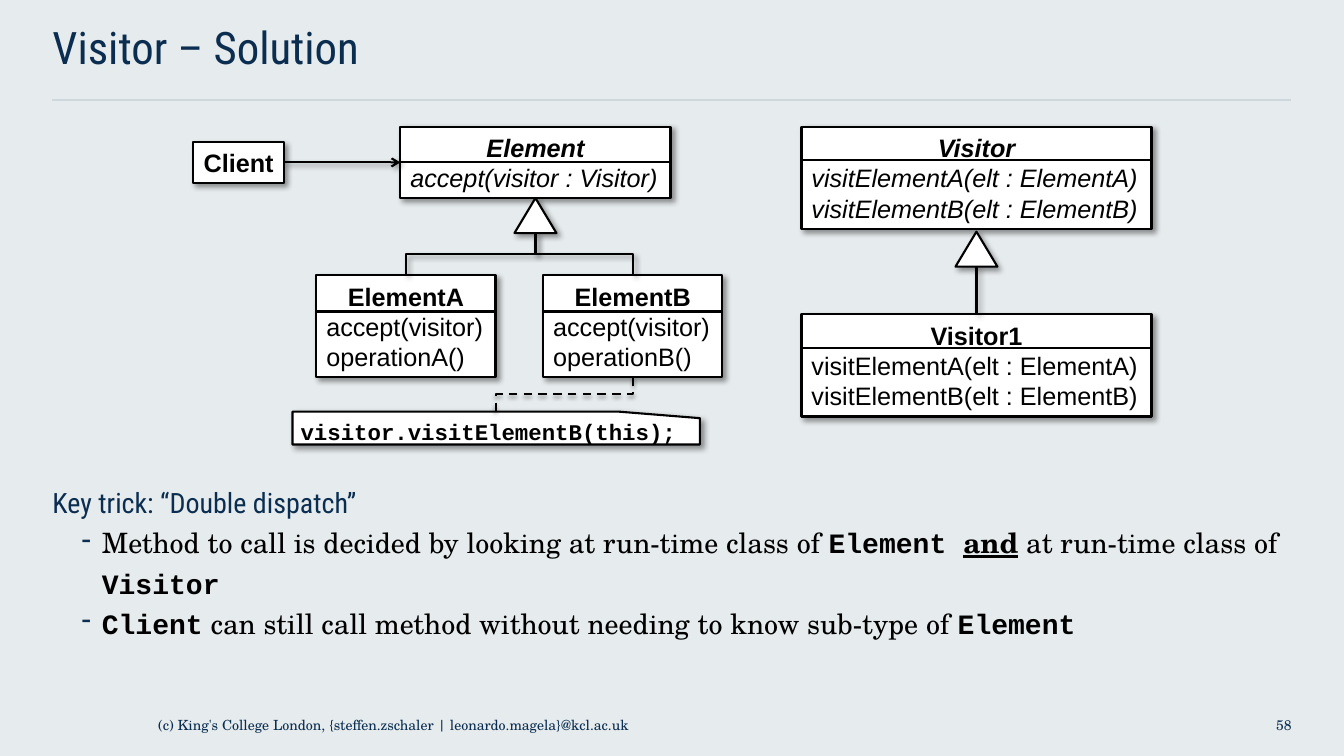
from lxml.etree import SubElement
from pptx import Presentation
from pptx.dml.color import RGBColor
from pptx.enum.dml import MSO_LINE
from pptx.enum.shapes import MSO_CONNECTOR, MSO_SHAPE
from pptx.enum.text import MSO_ANCHOR, PP_ALIGN
from pptx.oxml.ns import qn
from pptx.util import Pt

BACKGROUND = RGBColor(0xE6, 0xEB, 0xED)
RULE = RGBColor(0xCD, 0xD7, 0xDC)
NAVY = RGBColor(0x0A, 0x2D, 0x50)
BLACK = RGBColor(0, 0, 0)
WHITE = RGBColor(255, 255, 255)
HEADING, SERIF, SANS, CODE = "Roboto Condensed", "TeX Gyre Schola", "Arial", "Courier New"

TITLE = "Visitor – Solution"
KEY_TRICK = "Key trick: “Double dispatch”"
# Each bullet is a list of (text, style) runs.
BULLETS = [
    [("Method to call is decided by looking at run-time class of ", "plain"),
     ("Element ", "code"), ("and", "stress"),
     (" at run-time class of ", "plain"), ("Visitor", "code")],
    [("Client", "code"),
     (" can still call method without needing to know sub-type of ", "plain"),
     ("Element", "code")],
]
FOOTER = "(c) King's College London, {steffen.zschaler | leonardo.magela}@kcl.ac.uk"
PAGE_NUMBER = "58"
NOTE = "visitor.visitElementB(this);"
VISITS = ["visitElementA(elt : ElementA)", "visitElementB(elt : ElementB)"]
# name: (left, top, width, height, divider offset, abstract, methods)
CLASSES = {
    "Element": (286, 90.5, 193, 51, 25.5, True, ["accept(visitor : Visitor)"]),
    "Client": (138, 101.5, 65, 29, None, False, []),
    "ElementA": (226, 196.5, 128, 73, 26, False, ["accept(visitor)", "operationA()"]),
    "ElementB": (388, 196.5, 128, 73, 26, False, ["accept(visitor)", "operationB()"]),
    "Visitor": (572.5, 90.5, 250, 73, 24, True, VISITS),
    "Visitor1": (572.5, 224.5, 250, 73, 24, False, VISITS),
}
NOTE_BOX = (209, 294, 291, 23.5)
TRIANGLE_WIDTH, TRIANGLE_HEIGHT = 30, 25
# opacity %, blur, distance, direction in degrees
SOFT_SHADOW = (40, 4, 3, 45)
DASH_SHADOW = (38, 3.1, 1.6, 90)

presentation = Presentation()
presentation.slide_width, presentation.slide_height = Pt(960), Pt(540)
slide = presentation.slides.add_slide(presentation.slide_layouts[6])
slide.background.fill.solid()
slide.background.fill.fore_color.rgb = BACKGROUND


def set_effect(shape, shadow=None):
    """Give the shape the stated outer shadow, or none at all."""
    effects = SubElement(shape._element.spPr, qn("a:effectLst"))
    if shadow:
        opacity, blur, distance, direction = shadow
        outer = SubElement(effects, qn("a:outerShdw"), blurRad=str(Pt(blur)),
                           dist=str(Pt(distance)), dir=str(direction * 60000),
                           algn="tl", rotWithShape="0")
        color = SubElement(outer, qn("a:srgbClr"), val=str(BLACK))
        SubElement(color, qn("a:alpha"), val=str(opacity * 1000))


def set_font(font, name, size, color, bold=False, italic=False):
    font.name, font.size, font.color.rgb = name, Pt(size), color
    font.bold, font.italic = bold, italic


def add_text(text, left, top, width, height, name, size):
    box = slide.shapes.add_textbox(Pt(left), Pt(top), Pt(width), Pt(height))
    frame = box.text_frame
    frame.word_wrap = True
    frame.margin_left = frame.margin_top = frame.margin_right = frame.margin_bottom = 0
    paragraph = frame.paragraphs[0]
    paragraph.text = text
    set_font(paragraph.font, name, size, NAVY)
    return frame


def add_outlined(kind, left, top, width, height):
    shape = slide.shapes.add_shape(kind, Pt(left), Pt(top), Pt(width), Pt(height))
    shape.fill.solid()
    shape.fill.fore_color.rgb = WHITE
    shape.line.color.rgb, shape.line.width = BLACK, Pt(1.5)
    set_effect(shape, SOFT_SHADOW)
    return shape


def add_line(x1, y1, x2, y2, color=BLACK, width=1.5, shadow=None, kind=MSO_CONNECTOR.STRAIGHT):
    line = slide.shapes.add_connector(kind, Pt(x1), Pt(y1), Pt(x2), Pt(y2))
    line.line.color.rgb, line.line.width = color, Pt(width)
    set_effect(line, shadow)
    return line


def add_elbow(x1, y1, x2, y2, shadow=SOFT_SHADOW):
    """Draw a connector that leaves downwards, turns sideways and ends downwards."""
    run, drop = abs(x2 - x1), y2 - y1
    left, top = (x1 + x2 - drop) / 2, (y1 + y2 - run) / 2
    elbow = add_line(left, top, left + drop, top + run, shadow=shadow, kind=MSO_CONNECTOR.ELBOW)
    transform = elbow._element.spPr.find(qn("a:xfrm"))
    transform.set("rot", str((90 if x2 < x1 else 270) * 60000))
    if x2 > x1:
        transform.set("flipH", "1")
    return elbow


def add_class(name):
    left, top, width, height, divider, abstract, methods = CLASSES[name]
    box = add_outlined(MSO_SHAPE.RECTANGLE, left, top, width, height)
    frame = box.text_frame
    frame.word_wrap = False
    frame.vertical_anchor = MSO_ANCHOR.MIDDLE
    for index, text in enumerate([name, *methods]):
        paragraph = frame.paragraphs[0] if index == 0 else frame.add_paragraph()
        paragraph.text = text
        paragraph.alignment = PP_ALIGN.LEFT if index else PP_ALIGN.CENTER
        set_font(paragraph.font, SANS, 18, BLACK, bold=index == 0, italic=abstract)
    if divider:
        add_line(left, top + divider, left + width, top + divider)
    return box


def add_triangle(center, top):
    """Return the middle of the base of an inheritance triangle."""
    add_outlined(MSO_SHAPE.ISOSCELES_TRIANGLE, center - TRIANGLE_WIDTH / 2, top,
                 TRIANGLE_WIDTH, TRIANGLE_HEIGHT)
    return center, top + TRIANGLE_HEIGHT


def top_middle(name):
    left, top, width = CLASSES[name][:3]
    return left + width / 2, top


def bottom_middle(name):
    center, top = top_middle(name)
    return center, top + CLASSES[name][3]


# Frame of the slide
add_line(37.5, 71.5, 922.5, 71.5, RULE, 1)
add_text(TITLE, 37.5, 14.4, 884, 57, HEADING, 32)
add_text(FOOTER, 113, 512, 733, 28, SERIF, 10)
number = add_text(PAGE_NUMBER, 846.5, 512, 76, 28, SERIF, 10)
number.paragraphs[0].alignment = PP_ALIGN.RIGHT

# Explanation
body = add_text(KEY_TRICK, 37.5, 342, 884, 127, HEADING, 20)
for runs in BULLETS:
    paragraph = body.add_paragraph()
    paragraph.level = 1
    properties = paragraph._p.get_or_add_pPr()
    properties.set("marL", str(Pt(35.3)))
    properties.set("indent", str(Pt(-14.4)))
    bullet_color = SubElement(properties, qn("a:buClr"))
    SubElement(bullet_color, qn("a:srgbClr"), val=str(NAVY))
    SubElement(properties, qn("a:buChar"), char="-")
    for text, style in runs:
        run = paragraph.add_run()
        run.text = text
        set_font(run.font, CODE if style == "code" else SERIF, 20, BLACK, bold=style != "plain")
        run.font.underline = style == "stress"
for paragraph in body.paragraphs:
    paragraph.line_spacing = 1.2

# Class diagram
boxes = {name: add_class(name) for name in CLASSES}

element_base = add_triangle(*bottom_middle("Element"))
for subclass in ("ElementA", "ElementB"):
    add_elbow(*element_base, *top_middle(subclass))

visitor_center, visitor_bottom = bottom_middle("Visitor")
visitor_base = add_triangle(visitor_center, visitor_bottom + 2)
inheritance = add_line(*visitor_base, *top_middle("Visitor1"), shadow=SOFT_SHADOW)
inheritance.end_connect(boxes["Visitor1"], 0)

association = add_line(203, 116, 286, 116, shadow=SOFT_SHADOW)
association.begin_connect(boxes["Client"], 3)
association.end_connect(boxes["Element"], 1)
SubElement(association.line._get_or_add_ln(), qn("a:tailEnd"), type="arrow")

note = add_outlined(MSO_SHAPE.FLOWCHART_CARD, *NOTE_BOX)
note._element.spPr.find(qn("a:xfrm")).set("flipH", "1")
note_frame = note.text_frame
note_frame.word_wrap = True
note_frame.margin_left = Pt(5.8)
note_frame.margin_top = note_frame.margin_right = note_frame.margin_bottom = 0
note_frame.vertical_anchor = MSO_ANCHOR.MIDDLE
note_text = note_frame.paragraphs[0]
note_text.text = NOTE
note_text.alignment = PP_ALIGN.LEFT
set_font(note_text.font, CODE, 16, BLACK, bold=True)
note_left, note_top, note_width, _ = NOTE_BOX
anchor = add_elbow(*bottom_middle("ElementB"), note_left + note_width / 2, note_top, DASH_SHADOW)
anchor.line.dash_style = MSO_LINE.DASH

presentation.save("out.pptx")
